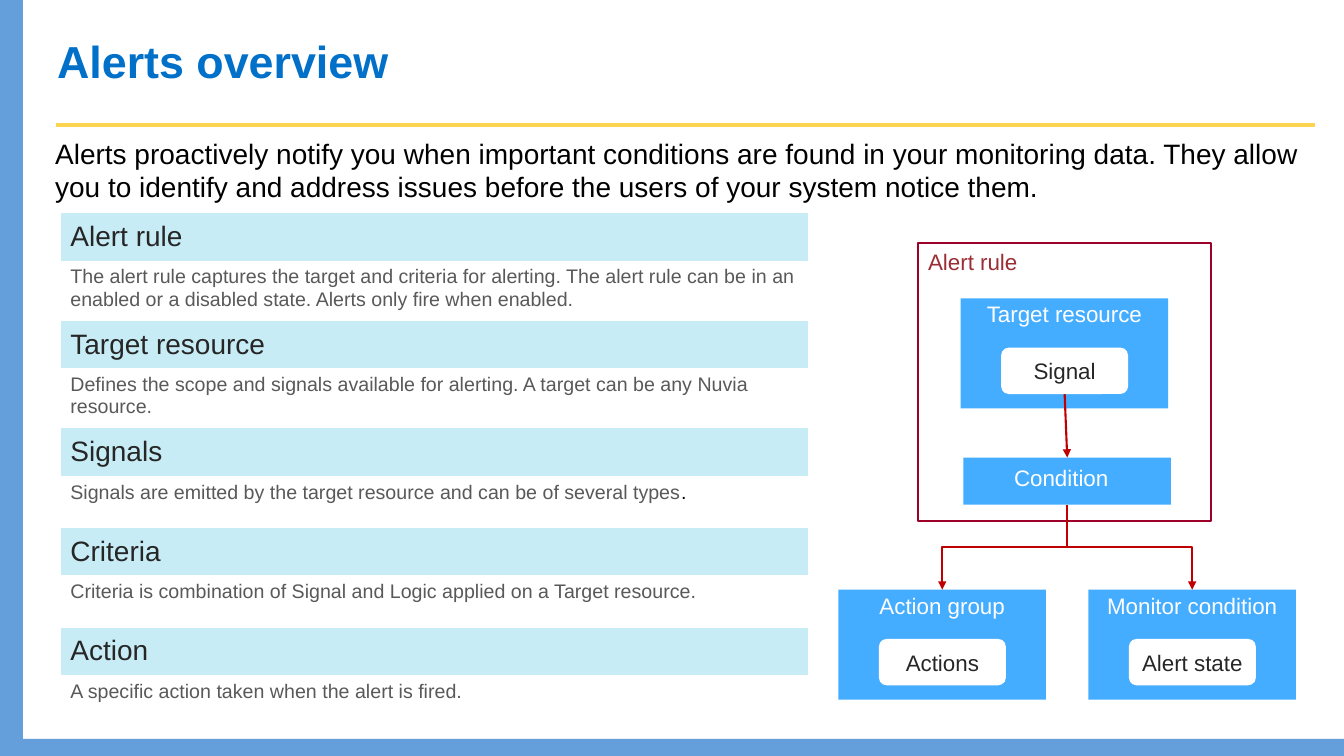
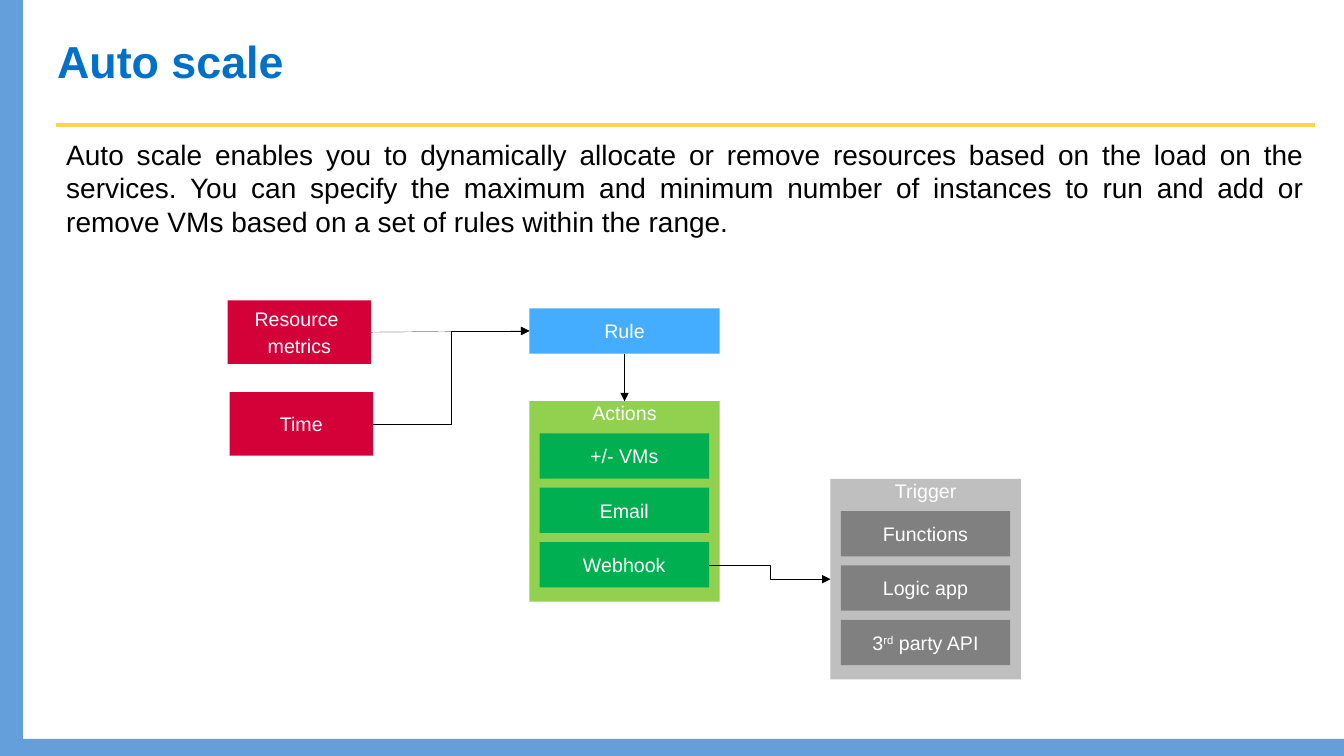
"""Build two slides on alerts and automatic scaling."""
from dataclasses import dataclass

from pptx import Presentation
from pptx.dml.color import RGBColor
from pptx.enum.shapes import MSO_CONNECTOR as Link, MSO_SHAPE as Preset
from pptx.enum.text import MSO_ANCHOR as Anchor, PP_ALIGN as Align
from pptx.oxml.ns import qn
from pptx.util import Cm, Pt
from lxml.etree import SubElement

COLORS = {
    "band": "649FDC", "rule": "FDD44F", "title": "0070C8", "black": "000000",
    "white": "FFFFFF", "header": "C7ECF5", "dark": "262626", "muted": "595959",
    "blue": "45ADFF", "frame": "9D012A", "frame text": "9B2D35",
    "arrow": "C00000", "red": "D40139", "lime": "92D050", "green": "00B050",
    "silver": "BFBFBF", "gray": "808080",
}
TOP, LEFT, BOTTOM, RIGHT = range(4)
TITLE_ONLY = 5


@dataclass
class Span:
    text: str
    color: str = ""
    raised: bool = False


class Builder:
    font = "Arial"

    def __init__(self):
        self.deck = Presentation()
        self.deck.slide_width, self.deck.slide_height = Cm(33.87), Cm(19.05)
        self.page = None

    def color(self, name):
        return RGBColor.from_string(COLORS[name])

    def open_page(self, title):
        layout = self.deck.slide_layouts[TITLE_ONLY]
        self.page = self.deck.slides.add_slide(layout)
        if len(self.deck.slides) == 1:
            self.decorate_master()
        box = self.page.shapes.title
        box.left, box.top, box.width, box.height = map(Cm, (1.19, 0.15, 23.65, 2.74))
        self.set_text(box.text_frame, title, 32, "title", anchor=Anchor.MIDDLE,
                      insets=(0.25,) * 4, bold=True)

    def decorate_master(self):
        parts = [
            self.box((0, 0, 0.58, 19.05), "band"),
            self.box((0, 18.62, 33.87, 0.43), "band"),
            self.line(Link.STRAIGHT, (1.4, 3.15, 33.15, 3.15), "rule", 3),
        ]
        tree = self.deck.slide_master.shapes.element
        for number, part in enumerate(parts, 100):
            part.element.xpath(".//p:cNvPr")[0].set("id", str(number))
            tree.insert(2, part.element)

    def set_text(self, frame, content, size, color, align=Align.LEFT,
                 anchor=Anchor.TOP, insets=(0.25, 0.13, 0.25, 0.13), bold=False,
                 wrap=True, gap=0):
        frame.word_wrap = wrap
        frame.vertical_anchor = anchor
        (frame.margin_left, frame.margin_top,
         frame.margin_right, frame.margin_bottom) = map(Cm, insets)
        paragraphs = [[content]] if isinstance(content, str) else content
        for index, spans in enumerate(paragraphs):
            para = frame.add_paragraph() if index else frame.paragraphs[0]
            para.alignment = align
            para.space_before = Pt(gap)
            self.add_spans(para, spans, size, color, bold)

    def add_spans(self, para, spans, size, color, bold=False):
        for item in spans:
            item = Span(item) if isinstance(item, str) else item
            span = para.add_run()
            span.text = item.text
            span.font.name, span.font.size, span.font.bold = self.font, Pt(size), bold
            span.font.color.rgb = self.color(item.color or color)
            if item.raised:
                span.font._element.set("baseline", "30000")

    def text(self, place, content, align=Align.LEFT):
        box = self.page.shapes.add_textbox(*map(Cm, place))
        self.set_text(box.text_frame, content, 20, "black", align)

    def box(self, place, fill=None, outline=None, preset=Preset.RECTANGLE):
        box = self.page.shapes.add_shape(preset, *map(Cm, place))
        box.shadow.inherit = False
        if fill:
            box.fill.solid()
            box.fill.fore_color.rgb = self.color(fill)
        else:
            box.fill.background()
        if outline:
            box.line.color.rgb = self.color(outline)
            box.line.width = Pt(1.5)
        else:
            box.line.fill.background()
        return box

    def node(self, place, content, fill, anchor=Anchor.MIDDLE):
        box = self.box(place, fill)
        self.set_text(box.text_frame, content, 14, "white", Align.CENTER, anchor,
                      (0,) * 4, wrap=False, gap=3)
        return box

    def group(self, left, top, title, fill, items, item_fill):
        outer = self.node((left, top, 4.8, 5.05), title, fill, Anchor.TOP)
        inner = [self.node((left + 0.26, top + 0.81 + 1.37 * row, 4.27, 1.14),
                           item, item_fill) for row, item in enumerate(items)]
        return outer, inner

    def card(self, left, top, title, label):
        card = self.box((left, top, 5.23, 2.77), "blue")
        self.set_text(card.text_frame, title, 16, "white", Align.CENTER,
                      insets=(0, 0.05, 0, 0))
        pill = self.box((left + 1.02, top + 1.24, 3.2, 1.17), "white",
                        preset=Preset.ROUNDED_RECTANGLE)
        self.set_text(pill.text_frame, label, 16, "dark", Align.CENTER,
                      Anchor.MIDDLE, (0,) * 4)
        return card, pill

    def line(self, kind, ends, color, width):
        line = self.page.shapes.add_connector(kind, *map(Cm, ends))
        line.line.color.rgb = self.color(color)
        line.line.width = Pt(width)
        SubElement(line.element.spPr, qn("a:effectLst"))
        return line

    def arrow(self, start, start_side, end, end_side, color, width,
              kind=Link.STRAIGHT):
        line = self.line(kind, (0, 0, 0, 0), color, width)
        line.begin_connect(start, start_side)
        line.end_connect(end, end_side)
        if kind == Link.ELBOW and start_side == BOTTOM:
            self.turn_down(line)
        SubElement(line.line._get_or_add_ln(), qn("a:tailEnd"), type="triangle")

    def turn_down(self, line):
        across, down = line.end_x - line.begin_x, line.end_y - line.begin_y
        middle_x = (line.begin_x + line.end_x) // 2
        middle_y = (line.begin_y + line.end_y) // 2
        turn = 1 if across < 0 else -1
        half_x, half_y = turn * down // 2, turn * across // 2
        line.begin_x, line.end_x = middle_x - half_x, middle_x + half_x
        line.begin_y, line.end_y = middle_y + half_y, middle_y - half_y
        line.element.spPr.xfrm.set("rot", str(5400000 if turn == 1 else 16200000))

    def definitions(self, place, entries):
        left, top, width = place
        heights = [size for entry in entries for size in (1.22, entry[2])]
        table = self.page.shapes.add_table(
            len(heights), 1, Cm(left), Cm(top), Cm(width), Cm(sum(heights))).table
        table.horz_banding = False
        for row, height in zip(table.rows, heights):
            row.height = Cm(height)
        for index, (term, spans, _) in enumerate(entries):
            head, body = table.cell(2 * index, 0), table.cell(2 * index + 1, 0)
            head.fill.solid()
            head.fill.fore_color.rgb = self.color("header")
            head.vertical_anchor = Anchor.MIDDLE
            body.fill.background()
            self.add_spans(head.text_frame.paragraphs[0], [term], 20, "dark")
            self.add_spans(body.text_frame.paragraphs[0], spans, 14, "muted")


def build_alerts(show):
    show.open_page("Alerts overview")
    show.text((1.14, 3.3, 32.16, 1.96),
              "Alerts proactively notify you when important conditions are found in "
              "your monitoring data. They allow you to identify and address issues "
              "before the users of your system notice them.")
    show.definitions((1.52, 5.36, 18.85), [
        ("Alert rule", ["The alert rule captures the target and criteria for alerting. "
                        "The alert rule can be in an enabled or a disabled state. "
                        "Alerts only fire when enabled."], 1.49),
        ("Target resource", ["Defines the scope and signals available for alerting. "
                             "A target can be any Nuvia resource."], 1.49),
        ("Signals", ["Signals are emitted by the target resource and can be of "
                     "several types", Span(".", "black")], 1.29),
        ("Criteria", ["Criteria is combination of Signal and Logic applied on a "
                      "Target resource."], 1.29),
        ("Action", ["A specific action taken when the alert is fired."], 1.29),
    ])
    frame = show.box((23.14, 6.12, 7.39, 7.01), outline="frame")
    show.set_text(frame.text_frame, "Alert rule", 16, "frame text")
    _, signal = show.card(24.21, 7.52, "Target resource", "Signal")
    condition = show.box((24.28, 11.53, 5.23, 1.19), "blue")
    show.set_text(condition.text_frame, "Condition", 16, "white", Align.CENTER,
                  Anchor.MIDDLE, (0, 0, 0.3, 0.2))
    action, _ = show.card(21.13, 14.86, "Action group", "Actions")
    monitor, _ = show.card(27.43, 14.86, "Monitor condition", "Alert state")
    show.arrow(signal, BOTTOM, condition, TOP, "arrow", 1.5)
    for target in (action, monitor):
        show.arrow(condition, BOTTOM, target, TOP, "arrow", 1.5, Link.ELBOW)


def build_scaling(show):
    show.open_page("Auto scale")
    show.text((1.42, 3.33, 31.7, 2.82),
              "Auto scale enables you to dynamically allocate or remove resources "
              "based on the load on the services. You can specify the maximum and "
              "minimum number of instances to run and add or remove VMs based on a "
              "set of rules within the range.", Align.JUSTIFY)
    metrics = show.node((5.74, 7.57, 3.61, 1.6), [["Resource "], ["metrics"]], "red")
    time = show.node((5.79, 9.88, 3.61, 1.6), "Time", "red")
    rule = show.node((13.34, 7.77, 4.8, 1.14), "Rule", "blue")
    actions, steps = show.group(13.34, 10.11, "Actions", "lime",
                                ["+/- VMs", "Email", "Webhook"], "green")
    third_party = [["3", Span("rd", raised=True), " party API"]]
    trigger, _ = show.group(20.93, 12.07, "Trigger", "silver",
                            ["Functions", "Logic app", third_party], "gray")
    for start, side, end, end_side, kind in [
        (metrics, RIGHT, rule, LEFT, Link.STRAIGHT),
        (time, RIGHT, rule, LEFT, Link.ELBOW),
        (rule, BOTTOM, actions, TOP, Link.STRAIGHT),
        (steps[-1], RIGHT, trigger, LEFT, Link.ELBOW),
    ]:
        show.arrow(start, side, end, end_side, "black", 0.13, kind)


def main():
    show = Builder()
    build_alerts(show)
    build_scaling(show)
    show.deck.save("out.pptx")


if __name__ == "__main__":
    main()
